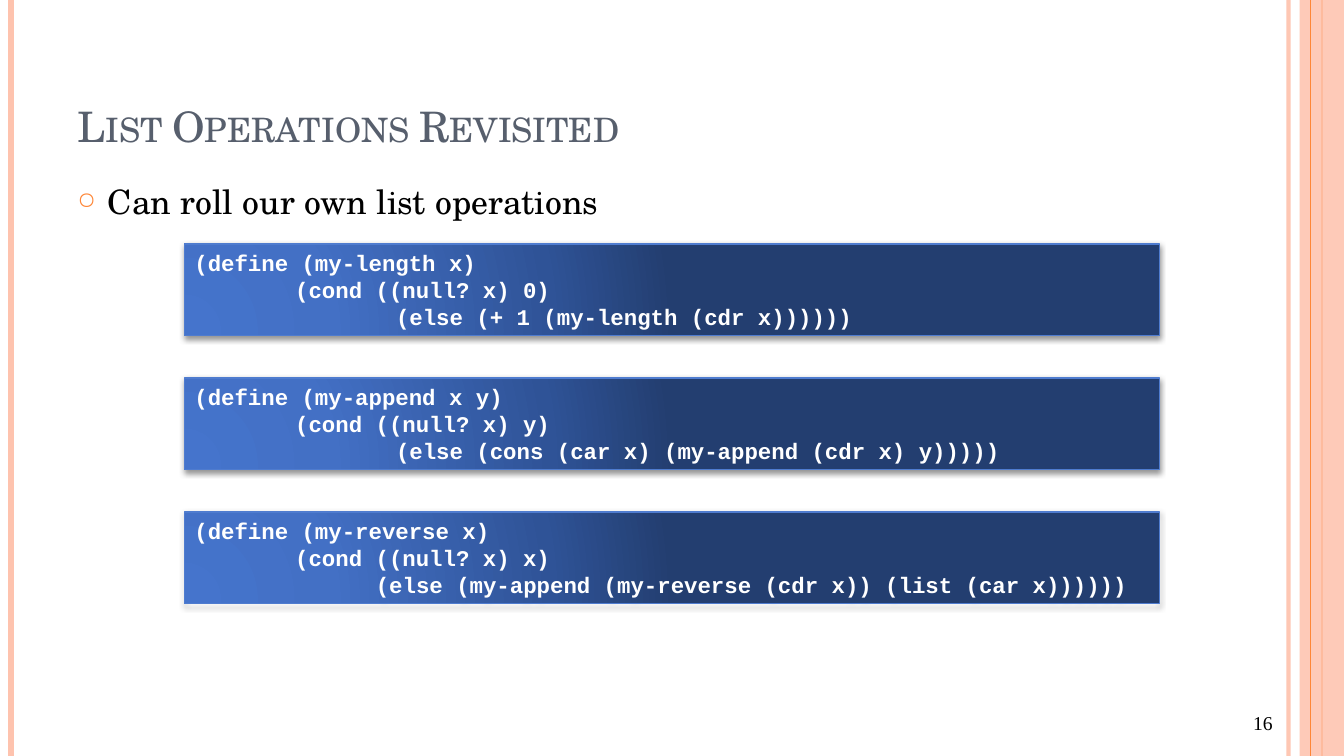
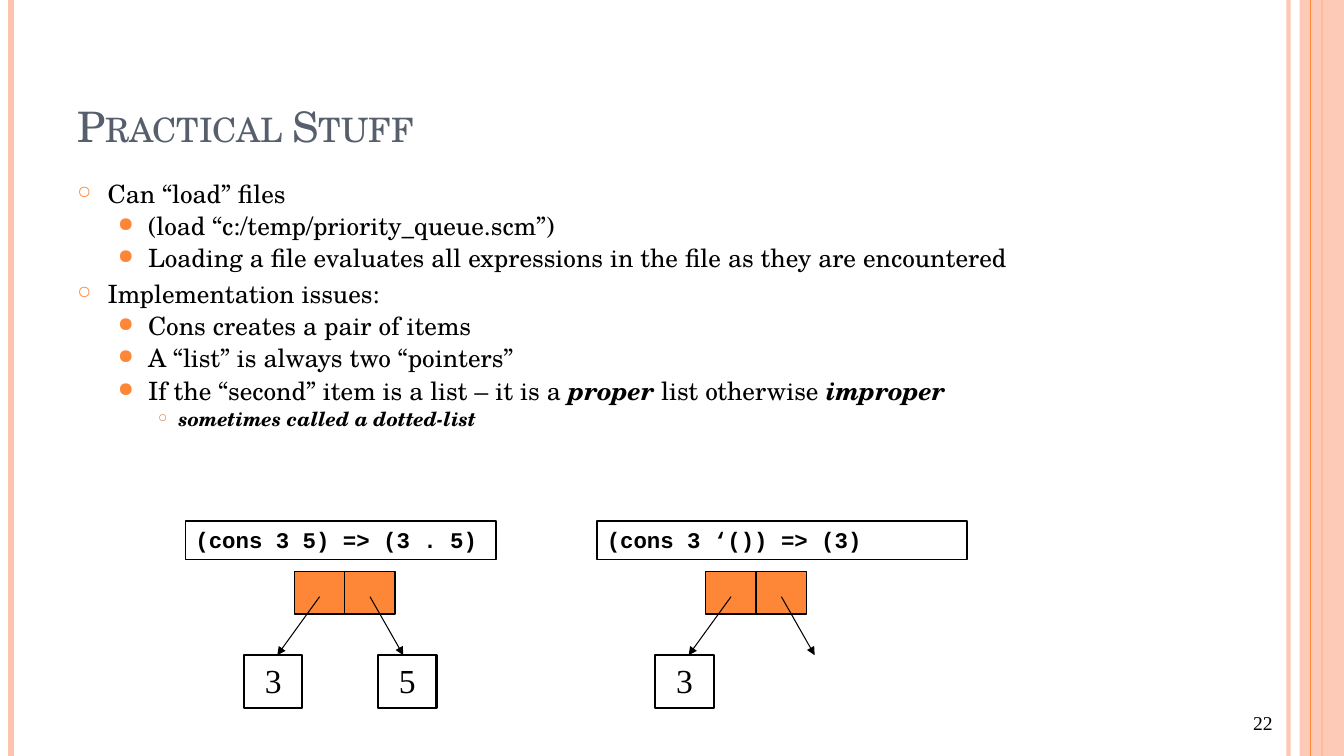
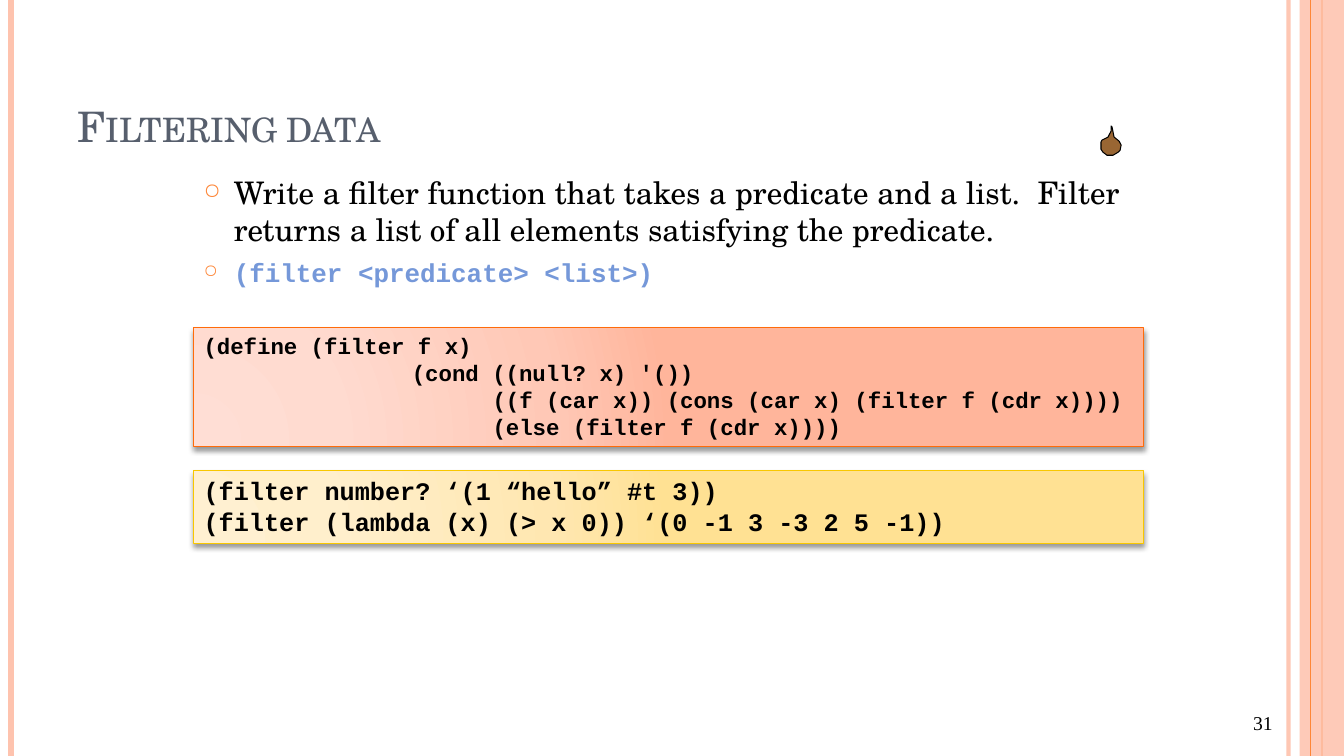
from lxml.etree import SubElement
from pptx import Presentation
from pptx.dml.color import RGBColor
from pptx.enum.shapes import MSO_CONNECTOR as Connector, MSO_SHAPE as Shape
from pptx.enum.text import MSO_ANCHOR as Anchor, PP_ALIGN as Align
from pptx.oxml.ns import qn
from pptx.util import Inches, Pt

COLORS = {
    "text": "000000", "white": "FFFFFF", "title": "575F6D",
    "accent": "FE8637", "accent_dark": "E07631", "band": "FEC3AE",
    "keyword": "7598D9", "drop": "996633",
}
SERIF, MONO, ROMAN = "TeX Gyre Schola", "Courier New", "Times New Roman"
CHAR = 0.6 / 72  # width of a monospaced character, inches per point of size

# Code box themes: gradient stops, outline, text colour, shadow opacity and distance
THEMES = {
    "blue": (["4574CC", "4370C5", "2F5397", "233E70"], "4F7CCF", "white", 42, 1.6),
    "orange": (["FFDED5", "FFDBD0", "FFC8B6", "FFB59B"], "FF6B0A", "text", 40, 2),
    "yellow": (["FFF0D1", "FFEFCC", "FFE7B1", "FFE193"], "F8C700", "text", 40, 2),
}
STOPS = [0, 30, 75, 100]

# Bullet levels: left margin, hanging indent, sign, colour, size in percent
BULLETS = [
    (0.3, 0.3, "○", "accent", 70),
    (0.7, 0.3, "●", "accent", 80),
    (1.0, 0.2, "○", "accent_dark", 60),
]


def rgb(color):
    return RGBColor.from_string(COLORS.get(color, color))


def add_xml(parent, tag, **attrs):
    child = SubElement(parent, qn("a:" + tag))
    for name, value in attrs.items():
        child.set(name, str(value))
    return child


def set_alpha(parent, percent):
    for color in parent.iter(qn("a:srgbClr")):
        add_xml(color, "alpha", val=percent * 1000)


class Deck:
    def __init__(self):
        self.prs = Presentation()
        self.prs.slide_width, self.prs.slide_height = Inches(13.33), Inches(7.5)
        self.s = None

    def slide(self, title, number):
        self.s = self.prs.slides.add_slide(self.prs.slide_layouts[6])
        # Side bands
        self.rule(12.78, "band", 3, alpha=93)
        self.rule(0.11, "band", 4.5)
        self.rule(13.11, "accent", 1.5)
        band = self.box(12.89, 0, 0.44, 7.5, "band")
        set_alpha(band.fill._xPr, 87)
        self.rule(13, "accent", 0.75)
        # Page number and title
        tf = self.text(12.33, 7, 0.67, 0.33)
        self.run(tf.paragraphs[0], str(number), 14, ROMAN)
        tf = self.text(0.67, 0.3, 10.89, 1.25)
        tf.vertical_anchor = Anchor.BOTTOM
        r = self.run(tf.paragraphs[0], title, 30, SERIF, "title")
        r.font._element.set("cap", "small")

    def line(self, x1, y1, x2, y2, color="text", width=0.75, arrow=False):
        c = self.s.shapes.add_connector(
            Connector.STRAIGHT, Inches(x1), Inches(y1), Inches(x2), Inches(y2))
        c.line.color.rgb = rgb(color)
        c.line.width = Pt(width)
        if arrow:
            add_xml(c.line._get_or_add_ln(), "tailEnd", type="triangle")
        add_xml(c._element.spPr, "effectLst")
        return c

    def rule(self, x, color, width, alpha=None):
        c = self.line(x, 0, x, 7.5, color, width)
        if alpha:
            set_alpha(c._element.spPr, alpha)

    def paint(self, sp, fill, line=None, width=1):
        sp.shadow.inherit = False
        sp.fill.solid()
        sp.fill.fore_color.rgb = rgb(fill)
        if line:
            sp.line.color.rgb = rgb(line)
            sp.line.width = Pt(width)
        else:
            sp.line.fill.background()

    def box(self, x, y, w, h, fill, line=None, width=1):
        sp = self.s.shapes.add_shape(
            Shape.RECTANGLE, Inches(x), Inches(y), Inches(w), Inches(h))
        self.paint(sp, fill, line, width)
        tf = sp.text_frame
        tf.word_wrap = True
        tf.vertical_anchor = Anchor.TOP
        tf.paragraphs[0].alignment = Align.LEFT
        return sp

    def text(self, x, y, w, h):
        sp = self.s.shapes.add_textbox(Inches(x), Inches(y), Inches(w), Inches(h))
        sp.text_frame.word_wrap = True
        return sp.text_frame

    def paragraph(self, tf, first):
        p = tf.paragraphs[0] if first else tf.add_paragraph()
        p.alignment = Align.LEFT
        return p

    def run(self, p, text, size, font, color="text", bold=False, italic=False):
        r = p.add_run()
        r.text = text
        r.font.size, r.font.name = Pt(size), font
        r.font.bold, r.font.italic = bold, italic
        r.font.color.rgb = rgb(color)
        return r

    def bullet(self, p, level, before, spacing=1.0):
        margin, hang, sign, color, size = BULLETS[level]
        p.level = level
        p.space_before = Pt(before)
        p.line_spacing = spacing
        pPr = p._p.get_or_add_pPr()
        pPr.set("marL", str(Inches(margin)))
        pPr.set("indent", str(-Inches(hang)))
        add_xml(add_xml(pPr, "buClr"), "srgbClr", val=COLORS[color])
        add_xml(pPr, "buSzPct", val=size * 1000)
        add_xml(pPr, "buChar", char=sign)

    def code(self, x, y, w, h, theme, lines, size=16):
        """Gradient box of code; each line is (indent in inches, text)."""
        stops, outline, color, opacity, distance = THEMES[theme]
        sp = self.box(x, y, w, h, stops[0], outline)
        spPr = sp._element.spPr
        # Radial gradient
        solid = spPr.find(qn("a:solidFill"))
        grad = add_xml(spPr, "gradFill", rotWithShape=1)
        spPr.replace(solid, grad)
        stop_list = add_xml(grad, "gsLst")
        for pos, stop in zip(STOPS, stops):
            add_xml(add_xml(stop_list, "gs", pos=pos * 1000), "srgbClr", val=stop)
        add_xml(add_xml(grad, "path", path="circle"), "fillToRect",
                l=5000, t=100000, r=120000, b=10000)
        # Soft shadow
        shadow = add_xml(spPr.find(qn("a:effectLst")), "outerShdw", blurRad=Pt(4),
                         dist=Pt(distance), dir=90 * 60000, rotWithShape=0)
        add_xml(shadow, "srgbClr", val=COLORS["text"])
        set_alpha(shadow, opacity)
        # Code lines
        for i, (indent, text) in enumerate(lines):
            p = self.paragraph(sp.text_frame, i == 0)
            p._p.get_or_add_pPr().set("marL", str(Inches(indent)))
            self.run(p, text, size, MONO, color, bold=True)

    def value(self, x, text):
        sp = self.box(x, 6.5, 0.58, 0.52, "white", "text", 1.5)
        p = sp.text_frame.paragraphs[0]
        p.alignment = Align.CENTER
        self.run(p, text, 24, ROMAN)

    def cons_pair(self, x, code, code_width, first, second=None):
        """Pair of cells starting at x, with arrows to its values."""
        for cell in (x, x + 0.5):
            self.box(cell, 5.67, 0.5, 0.42, "accent", "text")
        self.value(x - 0.5, first)
        if second:
            self.value(x + 0.83, second)
        self.line(x + 0.25, 5.92, x - 0.17, 6.5, arrow=True)
        self.line(x + 0.75, 5.92, x + 1.08, 6.5, arrow=True)
        sp = self.box(x - 1.08, 5.17, code_width, 0.38, "white", "text")
        self.run(sp.text_frame.paragraphs[0], code, 16, MONO, bold=True)

    def drop(self, points):
        """Closed outline; points are in hundredths of an inch."""
        builder = self.s.shapes.build_freeform(*points[0], scale=Inches(0.01))
        builder.add_line_segments(points[1:], close=True)
        self.paint(builder.convert_to_shape(), "drop", "text", 0.75)


deck = Deck()

# Slide 1: list operations
deck.slide("List Operations Revisited", 16)
tf = deck.text(0.67, 1.75, 10.89, 0.6)
deck.bullet(tf.paragraphs[0], 0, 6)
deck.run(tf.paragraphs[0], "Can roll our own list operations", 24, SERIF)
functions = [
    [(0, "(define (my-length x)"),
     (1, "(cond ((null? x) 0)"),
     (2, "(else (+ 1 (my-length (cdr x))))))")],
    [(0, "(define (my-append x y)"),
     (1, "(cond ((null? x) y)"),
     (2, "(else (cons (car x) (my-append (cdr x) y)))))")],
    [(0, "(define (my-reverse x)"),
     (1, "(cond ((null? x) x)"),
     (1.8, "(else (my-append (my-reverse (cdr x)) (list (car x))))))")],
]
for i, lines in enumerate(functions):
    deck.code(1.83, 2.42 + i * 1.33, 9.67, 0.91, "blue", lines)

# Slide 2: practical stuff; bullets are (level, runs), every second run emphasised
deck.slide("Practical Stuff", 22)
bullets = [
    (0, ["Can “load” files"]),
    (1, ["(load “c:/temp/priority_queue.scm”)"]),
    (1, ["Loading a file evaluates all expressions in the file as they are encountered"]),
    (0, ["Implementation issues:"]),
    (1, ["Cons creates a pair of items"]),
    (1, ["A “list” is always two “pointers”"]),
    (1, ["If the “second” item is a list – it is a ", "proper",
         " list otherwise ", "improper"]),
    (2, ["sometimes called a dotted-list"]),
]
tf = deck.text(0.67, 1.75, 10.89, 3.3)
for i, (level, texts) in enumerate(bullets):
    size = 14 if level == 2 else 18
    p = deck.paragraph(tf, i == 0)
    deck.bullet(p, level, 6 if level == 0 else size * 0.2, 0.9)
    for j, text in enumerate(texts):
        strong = j % 2 == 1 or level == 2
        deck.run(p, text, size, SERIF, bold=strong, italic=strong)
deck.cons_pair(2.92, "(cons 3 5) => (3 . 5)", 3.08, "3", "5")
deck.cons_pair(7, "(cons 3 ‘()) => (3)", 3.67, "3")

# Slide 3: filtering data
deck.slide("Filtering data", 31)
deck.code(1.92, 4.67, 9.42, 0.72, "yellow", [
    (0, "(filter number? ‘(1 “hello” #t 3))"),
    (0, "(filter (lambda (x) (> x 0)) ‘(0 -1 3 -3 2 5 -1))"),
], 18)
cond, clause = (1 + n * 16 * CHAR for n in (8, 14))
deck.code(1.92, 3.25, 9.42, 1.18, "orange", [
    (0, "(define (filter f x)"),
    (cond, "(cond ((null? x) '())"),
    (clause, "((f (car x)) (cons (car x) (filter f (cdr x))))"),
    (clause, "(else (filter f (cdr x))))"),
])
deck.drop([(1102, 125), (1102, 130), (1100, 134), (1099, 136), (1093, 139),
           (1092, 141), (1092, 148), (1094, 151), (1098, 154), (1104, 154),
           (1109, 151), (1111, 149), (1112, 144), (1110, 140), (1105, 136),
           (1104, 131), (1103, 126)])
tf = deck.text(1.92, 1.67, 9.42, 1.5)
p = tf.paragraphs[0]
deck.bullet(p, 0, 6)
deck.run(p, "Write a filter function that takes a predicate and a list.  Filter "
            "returns a list of all elements satisfying the predicate.", 22.2, SERIF)
p = deck.paragraph(tf, False)
deck.bullet(p, 0, 6)
deck.run(p, "(filter <predicate> <list>)", 18.5, MONO, "keyword", bold=True)

deck.prs.save("out.pptx")
